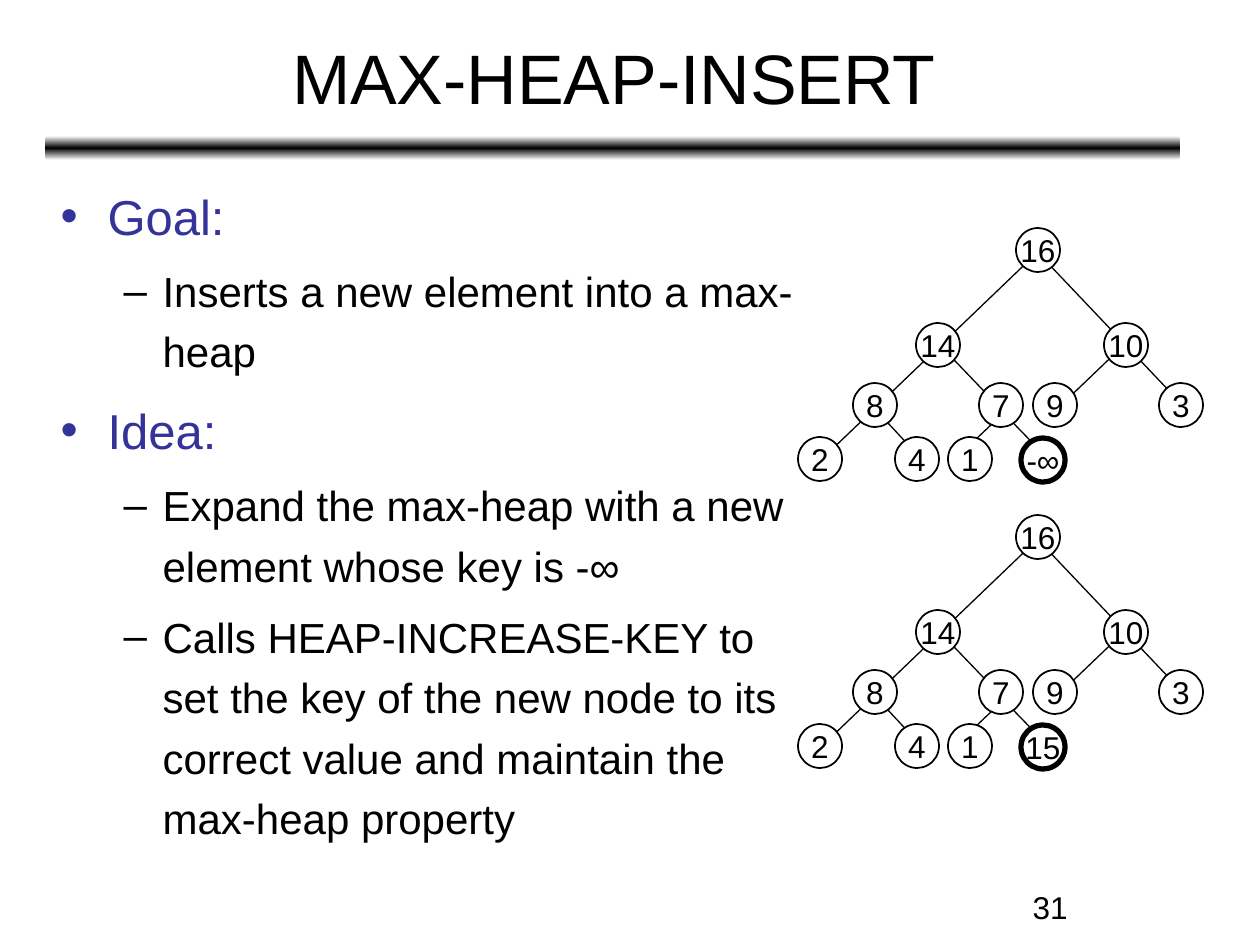
from copy import deepcopy

from lxml import etree
from pptx import Presentation
from pptx.dml.color import RGBColor
from pptx.enum.shapes import MSO_CONNECTOR, MSO_SHAPE
from pptx.enum.text import MSO_ANCHOR, MSO_AUTO_SIZE, PP_ALIGN
from pptx.oxml.ns import qn
from pptx.util import Pt

STRAIGHT = MSO_CONNECTOR.STRAIGHT
ELLIPSE = MSO_SHAPE.OVAL
ROUNDED = MSO_SHAPE.ROUNDED_RECTANGLE
CENTER = PP_ALIGN.CENTER
MIDDLE = MSO_ANCHOR.MIDDLE
NO_AUTOFIT = MSO_AUTO_SIZE.NONE

FONT = "Arial"
COLORS = {"black": "000000", "white": "FFFFFF", "heading": "333399"}

TITLE = "MAX-HEAP-INSERT"
PAGE_NUMBER = "31"
BODY = [
    (0, "Goal:"),
    (1, "Inserts a new element into a max-heap"),
    (0, "Idea:"),
    (1, "Expand the max-heap with a new element whose key is -∞"),
    (1, "Calls HEAP-INCREASE-KEY to set the key of the new node to its "
        "correct value and maintain the max-heap property"),
]
LEVELS = [
    {"size": 28, "color": "heading", "bullet": "•", "before": 7, "margin": 47, "hanging": 47},
    {"size": 24, "color": "black", "bullet": "–", "before": 6, "margin": 102, "hanging": 39},
]

NODES = [
    ("16", 1016, 228),
    ("14", 916, 323), ("10", 1104, 323),
    ("8", 853, 383), ("7", 979, 383), ("9", 1033, 383), ("3", 1159, 383),
    ("2", 798, 437), ("4", 895, 437), ("1", 948, 437),
]
NEW_NODE = (1021, 438)
EDGES = [
    (1055, 466, 987, 396),
    (954, 460, 1011, 406),
    (1056, 410, 1126, 343),
    (927, 465, 861, 394),
    (1003, 411, 935, 340),
    (1192, 415, 1024, 238),
    (822, 459, 1042, 248),
]
NEW_KEYS = ["-∞", "15"]
NODE_SIZE = 44
HEAP_STEP = 287


def px(value):
    return round(value * 914400 / 126)


def color(name):
    return RGBColor.from_string(COLORS[name])


def place(shape, *box):
    shape.left, shape.top, shape.width, shape.height = map(px, box)


def add_run(paragraph, text, size, color_name="black"):
    run = paragraph.add_run()
    run.text = text
    run.font.name = FONT
    run.font.size = Pt(size)
    run.font.color.rgb = color(color_name)


def add_bullet(paragraph, style):
    properties = paragraph._p.get_or_add_pPr()
    properties.set("marL", str(px(style["margin"])))
    properties.set("indent", str(-px(style["hanging"])))
    bullet_color = etree.SubElement(properties, qn("a:buClr"))
    etree.SubElement(bullet_color, qn("a:srgbClr"), val=COLORS[style["color"]])
    etree.SubElement(properties, qn("a:buFont"), typeface=FONT)
    etree.SubElement(properties, qn("a:buChar"), char=style["bullet"])


def add_title(slide):
    title = slide.shapes.title
    place(title, 47, 14, 1134, 125)
    frame = title.text_frame
    frame.auto_size = NO_AUTOFIT
    frame.vertical_anchor = MIDDLE
    paragraph = frame.paragraphs[0]
    paragraph.alignment = CENTER
    add_run(paragraph, TITLE, 40)


def add_body(slide):
    body = slide.placeholders[1]
    place(body, 48, 168, 771, 736)
    frame = body.text_frame
    frame.auto_size = NO_AUTOFIT
    for index, (level, text) in enumerate(BODY):
        style = LEVELS[level]
        paragraph = frame.add_paragraph() if index else frame.paragraphs[0]
        paragraph.level = level
        add_bullet(paragraph, style)
        paragraph.line_spacing = 1.2
        paragraph.space_before = Pt(style["before"] if index else 0)
        add_run(paragraph, text, style["size"], style["color"])


def add_divider(slide):
    bar = slide.shapes.add_shape(ROUNDED, *map(px, (45, 136, 1135, 24)))
    bar.shadow.inherit = False
    bar.line.fill.background()
    bar.fill.gradient()
    bar.fill.gradient_angle = 90
    first = bar.fill._fill.gradient_stops[0]._gs
    first.addnext(deepcopy(first))
    stops = bar.fill.gradient_stops
    for stop, position, name in zip(stops, (0, 0.5, 1), ("white", "black", "white")):
        stop.position = position
        stop.color.rgb = color(name)


def add_edge(heap, *ends):
    edge = heap.shapes.add_connector(STRAIGHT, *map(px, ends))
    edge.line.color.rgb = color("black")
    edge.line.width = Pt(0.75)
    etree.SubElement(edge._element.spPr, qn("a:effectLst"))


def add_node(heap, key, left, top, line_width=1):
    node = heap.shapes.add_shape(ELLIPSE, *map(px, (left, top, NODE_SIZE, NODE_SIZE)))
    node.shadow.inherit = False
    node.fill.solid()
    node.fill.fore_color.rgb = color("white")
    node.line.color.rgb = color("black")
    node.line.width = Pt(line_width)
    frame = node.text_frame
    frame.word_wrap = False
    frame.vertical_anchor = MIDDLE
    paragraph = frame.paragraphs[0]
    paragraph.alignment = CENTER
    add_run(paragraph, key, 18)


def add_heap(slide, new_key, offset):
    heap = slide.shapes.add_group_shape()
    for x1, y1, x2, y2 in EDGES:
        add_edge(heap, x1, y1 + offset, x2, y2 + offset)
    for key, left, top in NODES:
        add_node(heap, key, left, top + offset)
    left, top = NEW_NODE
    add_node(heap, new_key, left, top + offset, line_width=3)


def add_page_number(slide):
    box = slide.shapes.add_textbox(*map(px, (903, 882, 294, 44)))
    box.text_frame.word_wrap = True
    paragraph = box.text_frame.paragraphs[0]
    paragraph.alignment = CENTER
    add_run(paragraph, PAGE_NUMBER, 18)


def main():
    presentation = Presentation()
    presentation.slide_width, presentation.slide_height = px(1260), px(945)
    slide = presentation.slides.add_slide(presentation.slide_layouts[1])
    add_divider(slide)
    add_title(slide)
    add_body(slide)
    for index, new_key in enumerate(NEW_KEYS):
        add_heap(slide, new_key, index * HEAP_STEP)
    add_page_number(slide)
    presentation.save("out.pptx")


if __name__ == "__main__":
    main()
